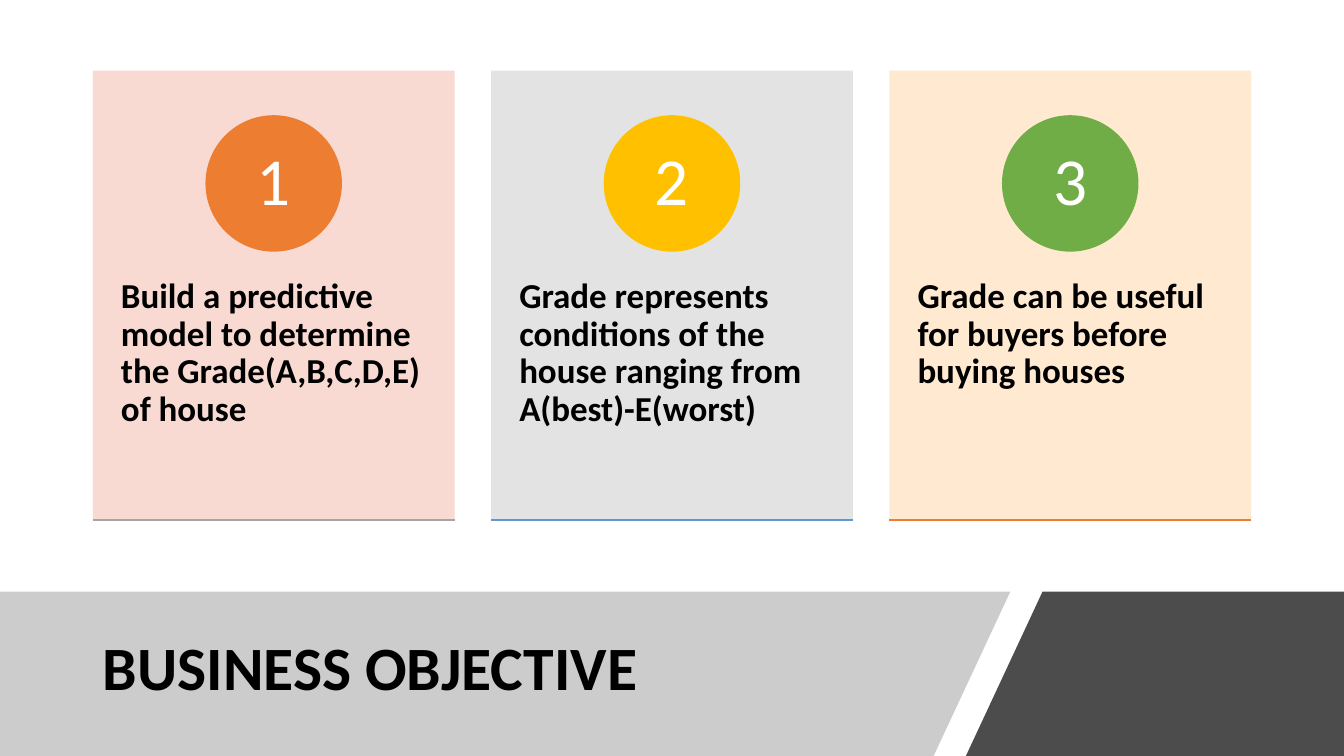
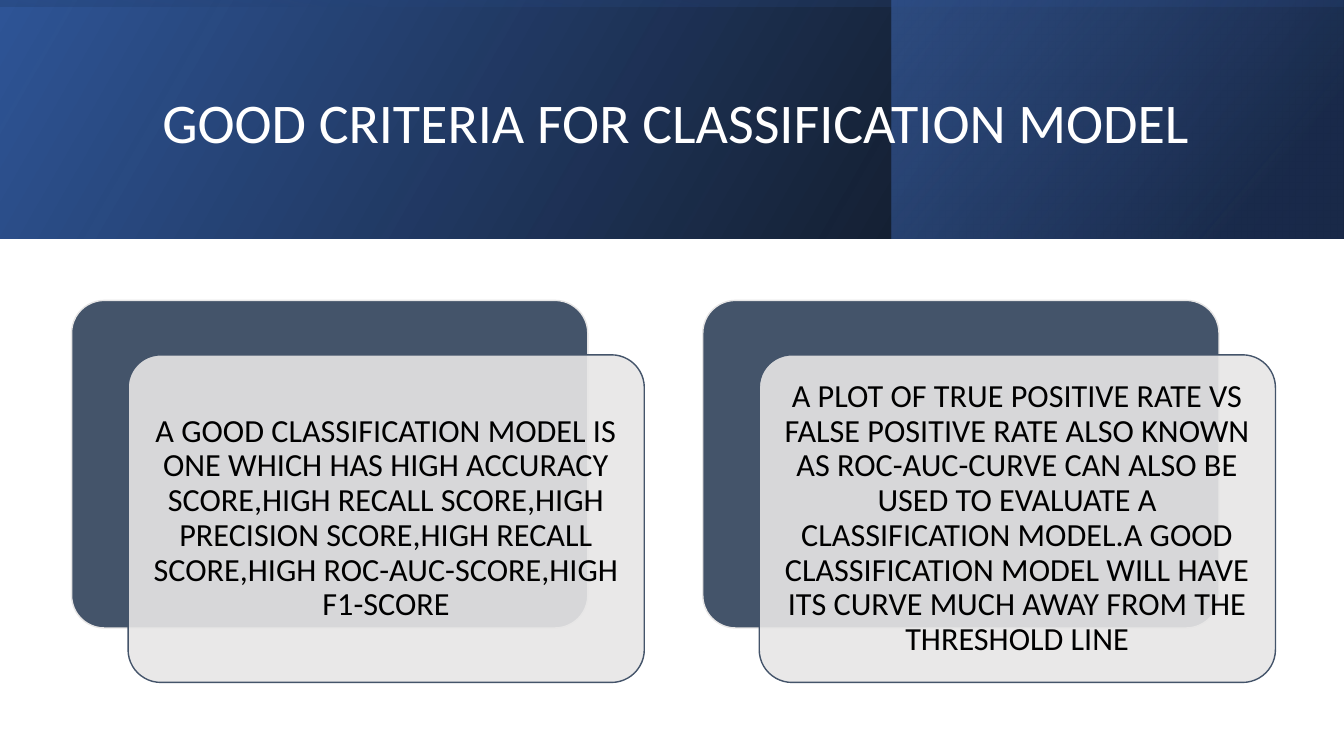
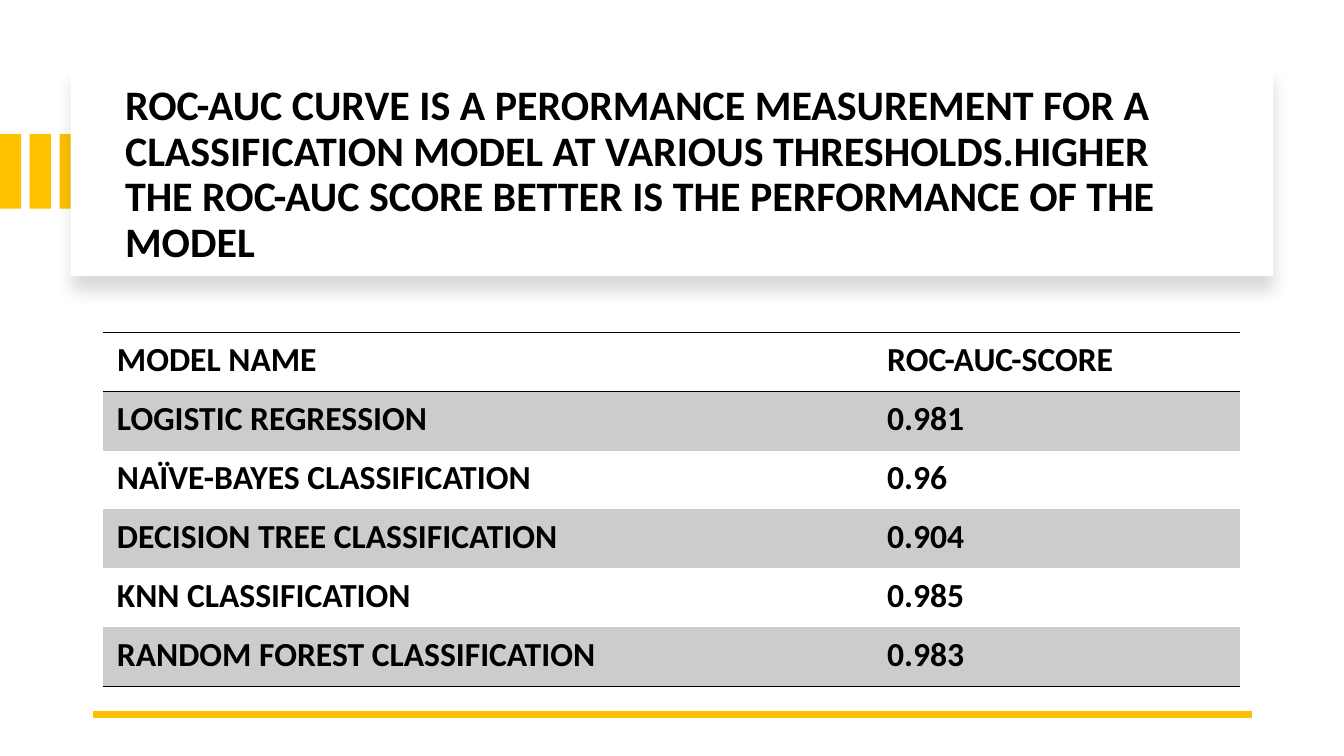
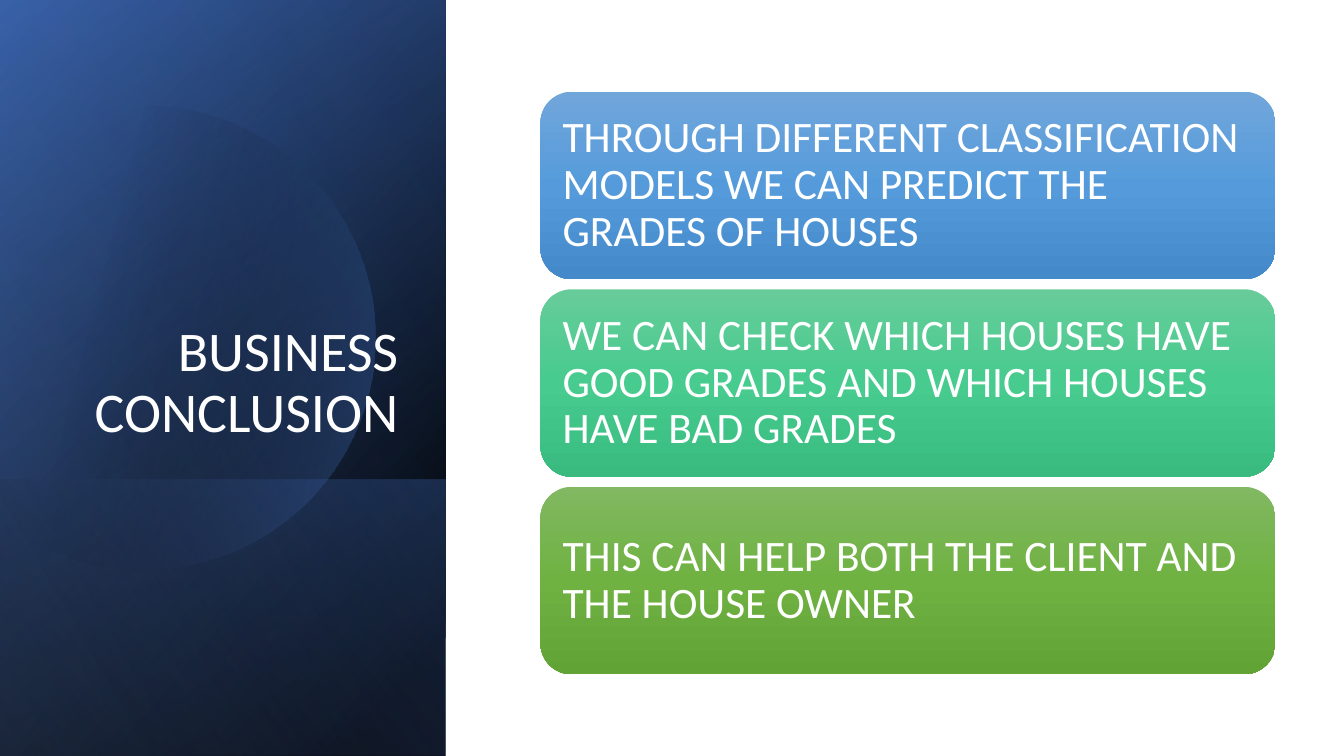
from math import acos, cos, sin

from lxml.etree import SubElement
from pptx import Presentation
from pptx.dml.color import RGBColor
from pptx.enum.shapes import MSO_CONNECTOR, MSO_SHAPE
from pptx.enum.text import MSO_ANCHOR, MSO_AUTO_SIZE, PP_ALIGN
from pptx.oxml.ns import qn
from pptx.util import Inches, Pt

# ---- Shared look ----
FONT = "Calibri"
WIDTH, HEIGHT = 13.33, 7.5
BLACK, WHITE, GOLD = "000000", "FFFFFF", "FFC000"
NAVY, BLUE, SLATE, SILVER = "2F5597", "4472C4", "44546A", "E7E6E6"
BAND_GREY = "CCCCCC"
NO_STYLE_TABLE = "{2D5ABB26-0587-4C30-8999-92F81FD0307C}"
TITLE_ONLY = 5

# ---- Content ----
OBJECTIVES = [  # text, card, circle, base line
    ("Build a predictive model to determine the Grade(A,B,C,D,E) of house",
     "F8D7CE", "ED7D31", "A5A5A5"),
    ("Grade represents conditions of the house ranging from A(best)-E(worst)",
     "E1E1E1", GOLD, "5B9BD5"),
    ("Grade can be useful for buyers before buying houses",
     "FFE8CC", "70AD47", "ED7D31"),
]
CRITERIA = [
    "A GOOD CLASSIFICATION MODEL IS ONE WHICH HAS HIGH ACCURACY SCORE,"
    "HIGH RECALL SCORE,HIGH PRECISION SCORE,HIGH RECALL SCORE,"
    "HIGH ROC-AUC-SCORE,HIGH F1-SCORE",
    "A PLOT OF TRUE POSITIVE RATE VS FALSE POSITIVE RATE ALSO KNOWN AS "
    "ROC-AUC-CURVE CAN ALSO BE USED TO EVALUATE A CLASSIFICATION MODEL."
    "A GOOD CLASSIFICATION MODEL WILL HAVE ITS CURVE MUCH AWAY FROM THE "
    "THRESHOLD LINE",
]
ROC_TITLE = ("ROC-AUC CURVE IS A PERORMANCE MEASUREMENT FOR A CLASSIFICATION "
             "MODEL AT VARIOUS THRESHOLDS.HIGHER THE ROC-AUC SCORE BETTER IS "
             "THE PERFORMANCE OF THE MODEL")
SCORES = [
    ("MODEL NAME", "ROC-AUC-SCORE"),
    ("LOGISTIC REGRESSION", "0.981"),
    ("NAÏVE-BAYES CLASSIFICATION", "0.96"),
    ("DECISION TREE CLASSIFICATION", "0.904"),
    ("KNN CLASSIFICATION", "0.985"),
    ("RANDOM FOREST CLASSIFICATION", "0.983"),
]
CONCLUSIONS = [  # text, gradient from top to bottom
    ("THROUGH DIFFERENT CLASSIFICATION MODELS WE CAN PREDICT THE GRADES OF "
     "HOUSES", ("71A6DB", "559BDB", "448ACA")),
    ("WE CAN CHECK WHICH HOUSES HAVE GOOD GRADES AND WHICH HOUSES HAVE BAD "
     "GRADES", ("67CC9A", "47CB8E", "39BB7F")),
    ("THIS CAN HELP BOTH THE CLIENT AND THE HOUSE OWNER",
     ("81B861", "6FB242", "62A336")),
]

# Gradient panels: box, rotation, angle, stops (position, colour, opacity)
HEADER_PANELS = [
    ((0, 0, WIDTH, 2.37), 0, 330, [(0, BLACK, 96), (100, NAVY, 100)]),
    ((8.84, 0, 4.48, 2.37), 0, 320, [(19, "203864", 68), (100, BLUE, 48)]),
    ((5.48, -5.48, 2.37, WIDTH), 270, 350, [(23, NAVY, 16), (99, BLACK, 45)]),
]
SIDE = (-1.54, 1.54, HEIGHT, 4.42)
SIDE_PANELS = [
    (SIDE, 90, 50, [(8, BLACK, 100), (100, NAVY, 100)]),
    (SIDE, 90, 30, [(0, BLACK, 0), (99, BLUE, 46)]),
    ((0.84, 3.92, 2.74, 4.42), 90, 130, [(2, BLUE, 29), (100, BLACK, 30)]),
]
SIDE_SHEEN = (SIDE, 90, 120, [(0, BLACK, 0), (99, "8FAADC", 11)])


# ---- Helpers ----
def rgb(value):
    return RGBColor.from_string(value)


def inches(values):
    return [Inches(value) for value in values]


def add_color(parent, color, opacity=100):
    node = SubElement(parent, qn("a:srgbClr"), val=color)
    if opacity < 100:
        SubElement(node, qn("a:alpha"), val=str(opacity * 1000))


def set_fill(shape, color, opacity=100):
    shape.fill.solid()
    shape.fill.fore_color.rgb = rgb(color)
    if opacity < 100:
        node = shape.element.spPr.find(qn("a:solidFill"))
        node.remove(node[0])
        add_color(node, color, opacity)


def set_gradient(shape, stops, angle):
    shape.fill.background()
    empty = shape.element.spPr.find(qn("a:noFill"))
    gradient = empty.makeelement(qn("a:gradFill"), {"rotWithShape": "1"})
    stop_list = SubElement(gradient, qn("a:gsLst"))
    for position, color, opacity in stops:
        stop = SubElement(stop_list, qn("a:gs"), pos=str(position * 1000))
        add_color(stop, color, opacity)
    SubElement(gradient, qn("a:lin"), ang=str(angle * 60000), scaled="0")
    empty.getparent().replace(empty, gradient)


def set_line(shape, color=None):
    shape.shadow.inherit = False
    if color:
        shape.line.color.rgb = rgb(color)
        shape.line.width = Pt(1)
    else:
        shape.line.fill.background()


def add_box(page, kind, box, fill, opacity=100, line=None):
    shape = page.shapes.add_shape(kind, *inches(box))
    set_fill(shape, fill, opacity)
    set_line(shape, line)
    return shape


def add_panel(page, box, rotation, angle, stops, kind=MSO_SHAPE.RECTANGLE,
              flip=True):
    shape = page.shapes.add_shape(kind, *inches(box))
    set_gradient(shape, stops, angle)
    set_line(shape)
    shape.rotation = rotation
    if flip:
        shape.element.spPr.xfrm.set("flipH", "1")
    return shape


def add_outline(page, points):
    start, *rest = [inches(point) for point in points]
    builder = page.shapes.build_freeform(*start, scale=1.0)
    builder.add_line_segments(rest, close=True)
    shape = builder.convert_to_shape()
    set_line(shape)
    return shape


def add_line(page, start, end, color, width):
    line = page.shapes.add_connector(MSO_CONNECTOR.STRAIGHT,
                                     *inches(start + end))
    line.line.color.rgb = rgb(color)
    line.line.width = Pt(width)
    SubElement(line.element.spPr, qn("a:effectLst"))


def write(frame, text, size, color=BLACK, bold=False, align=PP_ALIGN.LEFT,
          anchor=MSO_ANCHOR.MIDDLE, insets=(0.1, 0.05, 0.1, 0.05), spacing=0.9):
    sides = ("margin_left", "margin_top", "margin_right", "margin_bottom")
    settings = dict(zip(sides, inches(insets)), word_wrap=True,
                    auto_size=MSO_AUTO_SIZE.NONE, vertical_anchor=anchor)
    for name, value in settings.items():
        setattr(frame, name, value)
    para = frame.paragraphs[0]
    para.alignment, para.line_spacing = align, spacing
    span = para.add_run()
    span.text = text
    span.font.color.rgb = rgb(color)
    for name, value in dict(name=FONT, size=Pt(size), bold=bold).items():
        setattr(span.font, name, value)


def set_title(page, box, text, size, **look):
    """Fill the title and bring it in front of the bands behind it."""
    title = page.shapes.title
    title.left, title.top, title.width, title.height = inches(box)
    write(title.text_frame, text, size, **look)
    title.element.getparent().append(title.element)


def add_page(deck):
    return deck.slides.add_slide(deck.slide_layouts[TITLE_ONLY])


# ---- Slides ----
def build_objective(deck):
    page = add_page(deck)
    top = 5.87
    band = add_outline(page, [(0, top), (10.02, top), (9.26, HEIGHT),
                              (0, HEIGHT)])
    set_fill(band, "808080", 40)
    corner = add_outline(page, [(10.34, top), (WIDTH, top), (WIDTH, HEIGHT),
                                (9.58, HEIGHT)])
    set_fill(corner, BLACK, 70)
    set_title(page, (0.92, 6.05, 8.44, 1.2), "BUSINESS OBJECTIVE", 44,
              bold=True)

    card_width, card_height, card_top, pitch, circle = 3.59, 4.46, 0.7, 3.95, 1.34
    for index, (text, card_color, circle_color, base) in enumerate(OBJECTIVES):
        left = 0.92 + index * pitch
        card = add_box(page, MSO_SHAPE.RECTANGLE,
                       (left, card_top, card_width, card_height),
                       card_color, 90)
        write(card.text_frame, text, 25, bold=True, anchor=MSO_ANCHOR.TOP,
              insets=(0.28, 2.06, 0.28, 0.36))
        badge = add_box(page, MSO_SHAPE.OVAL,
                        (left + (card_width - circle) / 2, 1.15, circle, circle),
                        circle_color, line=circle_color)
        write(badge.text_frame, str(index + 1), 48, WHITE,
              align=PP_ALIGN.CENTER, insets=(0.1, 0.01, 0.1, 0.01))
        bottom = card_top + card_height
        add_line(page, (left, bottom), (left + card_width, bottom), base, 1)


def build_criteria(deck):
    page = add_page(deck)
    for panel in HEADER_PANELS:
        add_panel(page, *panel)
    set_title(page, (1.51, 0.38, 10.63, 1.72),
              "GOOD CRITERIA FOR CLASSIFICATION MODEL", 40, color=WHITE)

    width, height, pitch = 5.12, 3.25, 6.26
    for index, text in enumerate(CRITERIA):
        left = 0.71 + index * pitch
        back = add_box(page, MSO_SHAPE.ROUNDED_RECTANGLE,
                       (left, 2.98, width, height), SLATE, line=SILVER)
        front = add_box(page, MSO_SHAPE.ROUNDED_RECTANGLE,
                        (left + 0.56, 3.52, width, height), SILVER, 90, SLATE)
        for shape in (back, front):
            shape.adjustments[0] = 0.1
        write(front.text_frame, text, 23, align=PP_ALIGN.CENTER,
              insets=(0.1,) * 4)


def add_cell_border(cell, side):
    props = cell._tc.get_or_add_tcPr()
    border = props.makeelement(qn("a:" + side), {"w": str(Pt(1))})
    add_color(SubElement(border, qn("a:solidFill")), BLACK)
    props.insert(len(props.findall(qn("a:lnT"))), border)


def build_scores(deck):
    page = add_page(deck)
    for index in range(3):
        add_box(page, MSO_SHAPE.RECTANGLE, (index * 0.295, 1.33, 0.21, 0.74),
                GOLD)
    card = add_box(page, MSO_SHAPE.RECTANGLE, (0.7, 0.67, 11.93, 2.07), WHITE)
    effects = card.element.spPr.find(qn("a:effectLst"))
    shadow = SubElement(effects, qn("a:outerShdw"), blurRad=str(Pt(11)),
                        dist=str(Pt(10)), dir=str(90 * 60000),
                        algn="t", rotWithShape="0")
    add_color(shadow, BLACK, 15)
    set_title(page, (1.14, 0.89, 11.13, 1.7), ROC_TITLE, 30, bold=True)
    add_line(page, (12.42, 7.09), (0.92, 7.09), GOLD, 4.5)

    # Score table
    frame = page.shapes.add_table(len(SCORES), 2,
                                  *inches((1.02, 3.3, 11.28, 3.51)))
    table = frame.table
    table._tbl.tblPr.find(qn("a:tableStyleId")).text = NO_STYLE_TABLE
    for column, width in zip(table.columns, (7.64, 3.64)):
        column.width = Inches(width)
    last = len(SCORES) - 1
    for row, values in enumerate(SCORES):
        for column, text in enumerate(values):
            cell = table.cell(row, column)
            sides = (0.14, 0.07, 0.14, 0.07)
            (cell.margin_left, cell.margin_top, cell.margin_right,
             cell.margin_bottom) = inches(sides)
            para = cell.text_frame.paragraphs[0]
            span = para.add_run()
            span.text = text
            span.font.color.rgb = rgb(BLACK)
            for name, value in dict(name=FONT, size=Pt(24), bold=True).items():
                setattr(span.font, name, value)
            if row % 2:
                cell.fill.solid()
                cell.fill.fore_color.rgb = rgb(BAND_GREY)
            else:
                cell.fill.background()
            if row == 0:
                add_cell_border(cell, "lnT")
            if row in (0, last):
                add_cell_border(cell, "lnB")


def build_conclusion(deck):
    page = add_page(deck)
    for panel in SIDE_PANELS:
        add_panel(page, *panel)
    # Disc cut off by the left edge of the slide
    center_x, center_y, radius, steps = 1.42, 3.35, 2.3, 72
    reach = acos(-center_x / radius)
    angles = [reach * (2 * step / steps - 1) for step in range(steps + 1)]
    disc = add_outline(page, [(center_x + radius * cos(angle),
                               center_y + radius * sin(angle))
                              for angle in angles])
    set_gradient(disc, [(29, BLACK, 0), (100, BLUE, 43)], 14)
    add_panel(page, *SIDE_SHEEN)
    set_title(page, (0.64, 1.84, 3.41, 2.62), "BUSINESS CONCLUSION", 40,
              color=WHITE, align=PP_ALIGN.RIGHT, anchor=MSO_ANCHOR.BOTTOM)

    for index, (text, colors) in enumerate(CONCLUSIONS):
        stops = [(place, color, 100)
                 for place, color in zip((0, 50, 100), colors)]
        bar = add_panel(page, (5.36, 0.91 + index * 1.96, 7.29, 1.86), 0, 90,
                        stops, MSO_SHAPE.ROUNDED_RECTANGLE, flip=False)
        write(bar.text_frame, text, 31, WHITE, insets=(0.13,) * 4)


def main():
    deck = Presentation()
    deck.slide_width, deck.slide_height = inches((WIDTH, HEIGHT))
    for build in (build_objective, build_criteria, build_scores,
                  build_conclusion):
        build(deck)
    deck.save("out.pptx")


if __name__ == "__main__":
    main()
